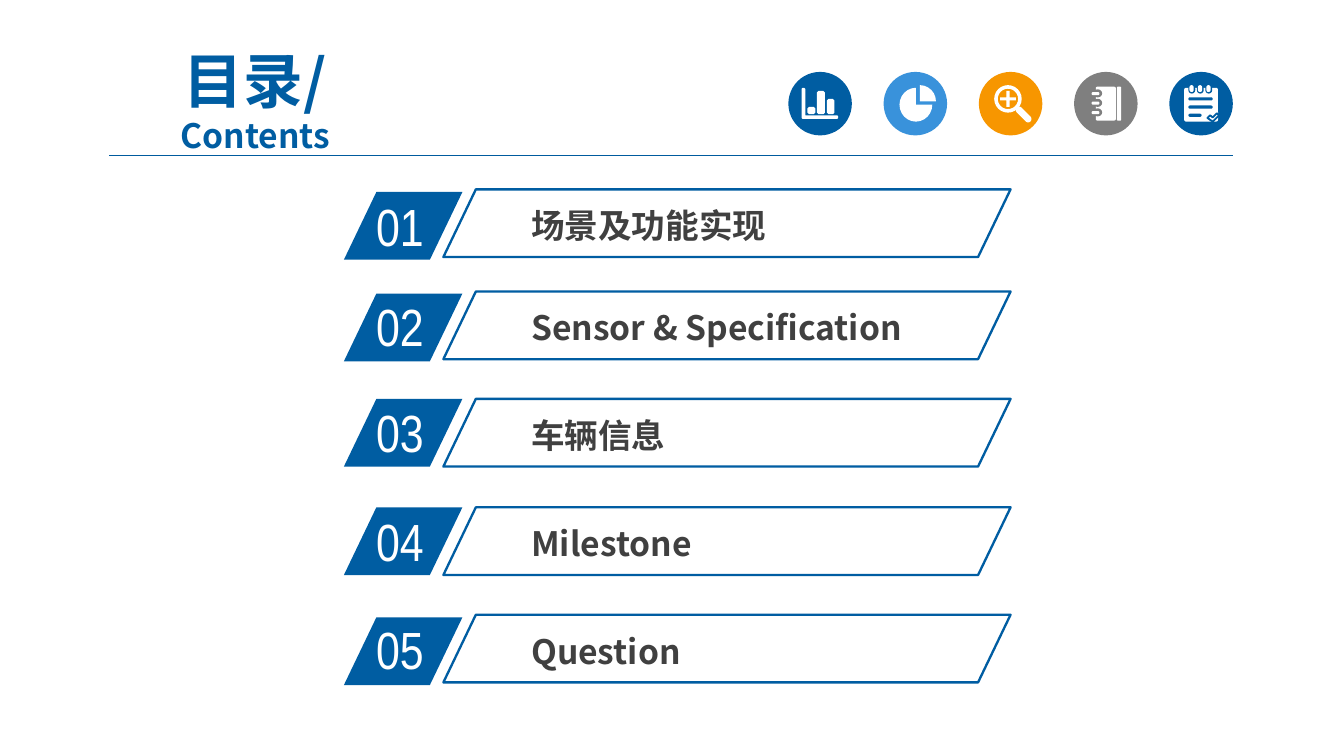
import lxml.etree
import pptx
import pptx.dml.color
import pptx.enum.shapes
import pptx.enum.text
import pptx.oxml.ns
import pptx.util

Cm, Pt = pptx.util.Cm, pptx.util.Pt
KIND = pptx.enum.shapes.MSO_SHAPE
COLORS = {"blue": "005DA2", "sky": "3992DB", "orange": "F79600", "grey": "7F7F7F",
          "white": "FFFFFF", "text": "404040", "rule": "005B9E"}
HEADING_FONT = "Noto Sans CJK SC"
qn = pptx.oxml.ns.qn

deck = pptx.Presentation()
deck.slide_width, deck.slide_height = Cm(25.4), Cm(14.29)
slide = deck.slides.add_slide(deck.slide_layouts[5])


def add_part(kind, box, fill=None, line=None, adjust=()):
    """Add a flat preset shape; box is left, top, width, height in cm."""
    part = slide.shapes.add_shape(kind, *[Cm(length) for length in box])
    part.shadow.inherit = False
    for index, value in enumerate(adjust):
        part.adjustments[index] = value
    if fill:
        part.fill.solid()
        part.fill.fore_color.rgb = pptx.dml.color.RGBColor.from_string(COLORS[fill])
    else:
        part.fill.background()
    if line:
        part.line.color.rgb = pptx.dml.color.RGBColor.from_string(COLORS[line])
        part.line.width = Pt(1.25)
    else:
        part.line.fill.background()
    return part


def add_run(paragraph, text, size, color, font, bold=False):
    """Append a run with the same font for Latin and East Asian text."""
    run = paragraph.add_run()
    run.text = text
    run.font.size, run.font.bold, run.font.name = Pt(size), bold, font
    run.font.color.rgb = pptx.dml.color.RGBColor.from_string(COLORS[color])
    east_asian = lxml.etree.SubElement(run.font._element, qn("a:ea"))
    east_asian.set("typeface", font)


# Heading and rule
heading = slide.shapes.title
heading.left, heading.top, heading.width, heading.height = Cm(1.69), Cm(1.2), Cm(6.27), Cm(1.37)
heading.text_frame.auto_size = pptx.enum.text.MSO_AUTO_SIZE.NONE
heading.text_frame.vertical_anchor = pptx.enum.text.MSO_ANCHOR.MIDDLE
heading_line = heading.text_frame.paragraphs[0]
heading_line.alignment = pptx.enum.text.PP_ALIGN.CENTER
add_run(heading_line, "目录/", 32, "blue", HEADING_FONT, True)
heading_line.add_line_break()
add_run(heading_line, "Contents", 18, "blue", HEADING_FONT, True)

rule = slide.shapes.add_connector(pptx.enum.shapes.MSO_CONNECTOR.STRAIGHT,
                                  Cm(2.06), Cm(2.94), Cm(23.3), Cm(2.94))
rule.line.color.rgb = pptx.dml.color.RGBColor.from_string(COLORS["rule"])
rule.line.width = Pt(0.75)
lxml.etree.SubElement(rule._element.spPr, qn("a:effectLst"))

# Agenda: label, then tops of the frame, the badge and the number
agenda = [
    ("场景及功能实现", 3.58, 3.63, 3.54),
    ("Sensor & Specification", 5.51, 5.55, 5.44),
    ("车辆信息", 7.54, 7.54, 7.44),
    ("Milestone", 9.59, 9.59, 9.5),
    ("Question", 11.62, 11.67, 11.54),
]
for order, (label, frame_top, badge_top, number_top) in enumerate(agenda, 1):
    add_part(KIND.PARALLELOGRAM, (6.5, badge_top, 2.24, 1.28), "blue", adjust=[0.48])
    add_part(KIND.PARALLELOGRAM, (8.38, frame_top, 10.72, 1.28), line="blue", adjust=[0.48])

    number = slide.shapes.add_textbox(Cm(6.86), Cm(number_top), Cm(2.13), Cm(1.3)).text_frame
    number.word_wrap = True
    add_run(number.paragraphs[0], f"{order:02}", 28, "white", "Arial Narrow")

    topic = slide.shapes.add_textbox(Cm(9.86), Cm(frame_top + 0.2), Cm(7.85), Cm(0.97)).text_frame
    topic.word_wrap = True
    topic.margin_left = topic.margin_right = Cm(0.18)
    topic.margin_top = topic.margin_bottom = Cm(0.1)
    add_run(topic.paragraphs[0], label, 18, "text", HEADING_FONT, True)

# Icons: disc colour and parts, placed from the disc's top left corner
ROUND = KIND.ROUNDED_RECTANGLE
DEGREE = 0.6
pie_parts = [
    (KIND.PIE, (0.3, 0.3, 0.62, 0.64), "white", [0, 270 * DEGREE]),
    (KIND.PIE, (0.38, 0.25, 0.61, 0.61), "white", [270 * DEGREE, 0]),
]
lens_parts = [
    (KIND.DONUT, (0.29, 0.25, 0.52, 0.52), "white", [0.13]),
    (KIND.CROSS, (0.4, 0.36, 0.3, 0.3), "white", [0.4]),
]
notebook_parts = [
    (ROUND, (0.41, 0.28, 0.38, 0.64), "white", [0.08]),
    (ROUND, (0.81, 0.28, 0.08, 0.64), "white", [0.2]),
]
for ring in range(3):
    ring_top = 0.38 + 0.18 * ring
    notebook_parts += [
        (ROUND, (0.36, ring_top - 0.05, 0.17, 0.15), "grey", [0.5]),
        (ROUND, (0.33, ring_top, 0.15, 0.06), "white", [0.5]),
    ]
notepad_parts = [(ROUND, (0.28, 0.3, 0.64, 0.64), "white", [0.06])]
for ring in range(3):
    ring_left = 0.38 + 0.16 * ring
    notepad_parts += [
        (ROUND, (ring_left - 0.02, 0.25, 0.13, 0.16), "blue", [0.5]),
        (ROUND, (ring_left, 0.25, 0.08, 0.13), "white", [0.5]),
    ]
for row, line_width in enumerate([0.46, 0.46, 0.25]):
    notepad_parts.append((ROUND, (0.36, 0.48 + 0.155 * row, line_width, 0.06), "blue", [0.5]))

icons = [("blue", []), ("sky", pie_parts), ("orange", lens_parts),
         ("grey", notebook_parts), ("blue", notepad_parts)]
ICON_LEFT, ICON_TOP, ICON_STEP, ICON_SIZE = 14.9, 1.36, 1.8, 1.2
for position, (disc_color, parts) in enumerate(icons):
    disc_left = ICON_LEFT + ICON_STEP * position
    add_part(KIND.OVAL, (disc_left, ICON_TOP, ICON_SIZE, ICON_SIZE), disc_color)
    for kind, (left, top, width, height), color, adjust in parts:
        add_part(kind, (disc_left + left, ICON_TOP + top, width, height), color, adjust=adjust)

lens_left = ICON_LEFT + 2 * ICON_STEP
handle = add_part(ROUND, (lens_left + 0.66, ICON_TOP + 0.74, 0.37, 0.13), "white", adjust=[0.5])
handle.rotation = 45

# Outlined symbols: the bar chart as one shape, and the notepad's tick
chart_contours = [[(0.25, 0.32), (0.27, 0.3), (0.3, 0.3), (0.32, 0.32), (0.32, 0.82),
                   (0.92, 0.82), (0.94, 0.84), (0.94, 0.87), (0.92, 0.89),
                   (0.27, 0.89), (0.25, 0.87)]]
BEVEL, BAR_BOTTOM = 0.03, 0.8
for left, top, right in [(0.36, 0.66, 0.51), (0.54, 0.36, 0.69), (0.73, 0.51, 0.87)]:
    chart_contours.append([
        (left, top + BEVEL), (left + BEVEL, top), (right - BEVEL, top), (right, top + BEVEL),
        (right, BAR_BOTTOM - BEVEL), (right - BEVEL, BAR_BOTTOM),
        (left + BEVEL, BAR_BOTTOM), (left, BAR_BOTTOM - BEVEL)])
tick_contours = [[(0.72, 0.87), (0.77, 0.82), (0.82, 0.86), (0.9, 0.78), (0.94, 0.82), (0.82, 0.94)]]

for position, contours, edge in [(0, chart_contours, None), (4, tick_contours, "blue")]:
    disc_left = ICON_LEFT + ICON_STEP * position
    outline = None
    for contour in contours:
        corners = [(Cm(disc_left + x), Cm(ICON_TOP + y)) for x, y in contour]
        if outline is None:
            outline = slide.shapes.build_freeform(*corners[0])
        else:
            outline.move_to(*corners[0])
        outline.add_line_segments(corners[1:], close=True)
    symbol = outline.convert_to_shape()
    symbol.shadow.inherit = False
    symbol.fill.solid()
    symbol.fill.fore_color.rgb = pptx.dml.color.RGBColor.from_string(COLORS["white"])
    if edge:
        symbol.line.color.rgb = pptx.dml.color.RGBColor.from_string(COLORS[edge])
        symbol.line.width = Pt(1)
    else:
        symbol.line.fill.background()

deck.save("out.pptx")
